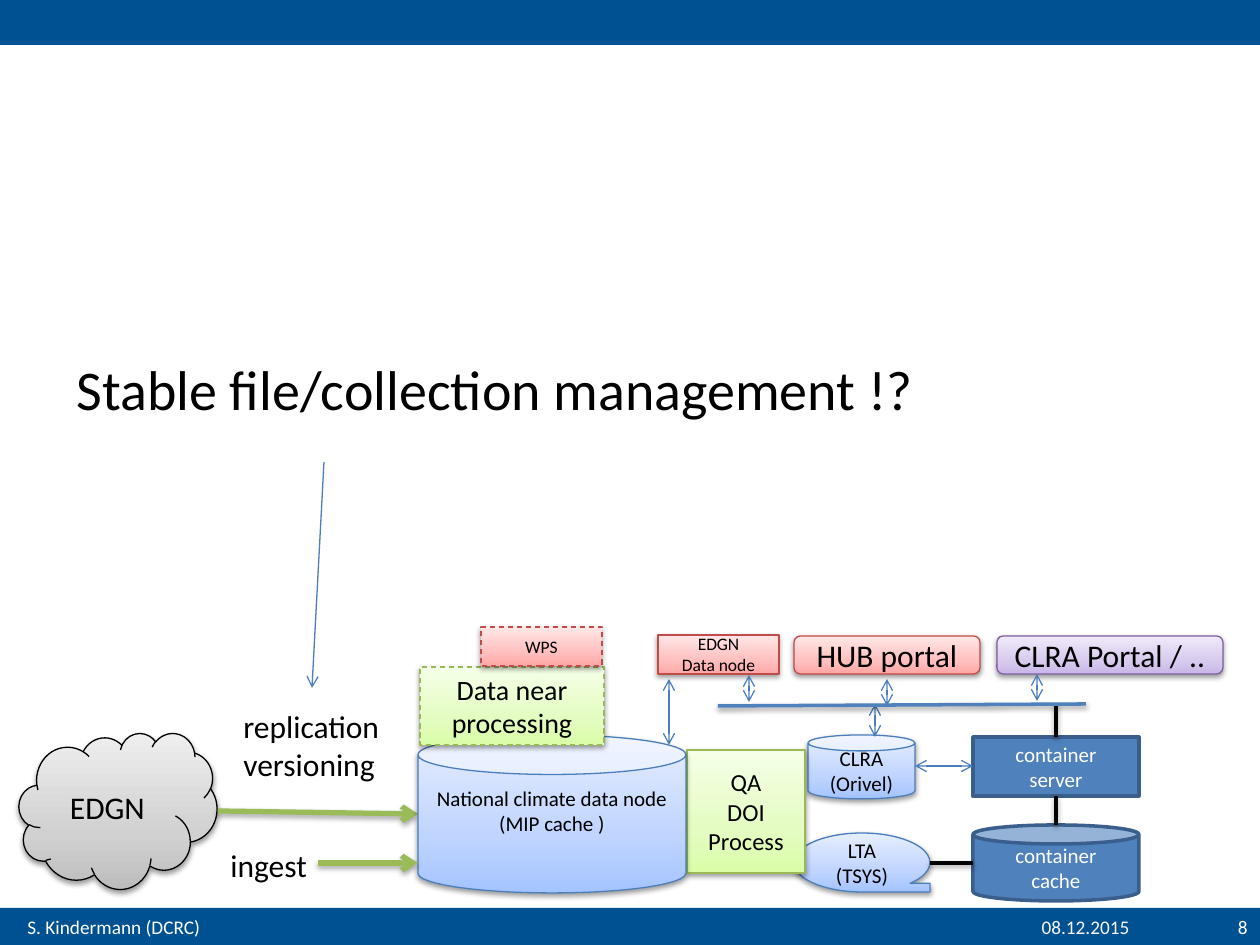
from lxml import etree
from pptx import Presentation, util as u
from pptx.dml.color import RGBColor
from pptx.enum import dml, shapes, text
from pptx.oxml import ns

PX = 914400 // 126
BLACK = RGBColor(0, 0, 0)
WHITE = RGBColor(255, 255, 255)
PALE = RGBColor(0xF6, 0xF6, 0xF6)
NAVY = RGBColor(0x00, 0x51, 0x91)
STEEL = RGBColor(0x4F, 0x81, 0xBD)
DEEP = RGBColor(0x3A, 0x5F, 0x8C)
BLUE = RGBColor(0x4B, 0x7E, 0xBC)
GREEN = RGBColor(0x9B, 0xBB, 0x59)
LIME = RGBColor(0x98, 0xB9, 0x55)
RED = RGBColor(0xBF, 0x4C, 0x48)
PLUM = RGBColor(0x7D, 0x60, 0xA0)

KIND = shapes.MSO_SHAPE
RECT, CAN, CLOUD = KIND.RECTANGLE, KIND.CAN, KIND.CLOUD
PILL = KIND.FLOWCHART_ALTERNATE_PROCESS
TAPE = KIND.FLOWCHART_SEQUENTIAL_ACCESS_STORAGE
LEFT, MID, RIGHT = text.PP_ALIGN.LEFT, text.PP_ALIGN.CENTER, text.PP_ALIGN.RIGHT

# Box styles: gradient stops at 0, 35 and 100 %, line colour
TINTS = {
    "blue": (("A4C4FF", "BFD4FF", "E6EEFF"), BLUE),
    "plum": (("C9B5E8", "D8CBEE", "F0EAF9"), PLUM),
    "gray": (("BDBDBD", "D1D1D1", "EEEEEE"), BLACK),
    "lime": (("DAFDA7", "E4FCC2", "F5FFE7"), LIME),
    "red": (("FFA6A5", "FFC0BF", "FFE7E7"), RED),
}
# Line styles: colour, width, arrow ends, shadow opacity
LINES = {
    "link": (BLACK, 2, (), 38),
    "bus": (STEEL, 2, (), 38),
    "flow": (GREEN, 3, ("tailEnd",), 35),
    "both": (BLUE, 0.75, ("headEnd", "tailEnd"), 0),
    "note": (BLUE, 0.75, ("tailEnd",), 0),
}
BARS = [(0, 0, 1260, 45), (0, 908, 1260, 37)]
# Text, place, size, colour, alignment
FOOT = [
    ("S. Kindermann (DCRC)", (15, 908, 328, 37), 11, WHITE, LEFT),
    ("8", (1155, 908, 105, 37), 11, WHITE, RIGHT),
    ("08.12.2015", (997, 908, 145, 37), 11, PALE, RIGHT),
]
# From back to front: boxes (shape, place, style, size, text, dash),
# lines (style, from, to) and labels (text, place)
PARTS = [
    (CAN, (973, 825, 166, 76), "solid", 12, "container\ncache", False),
    (RECT, (973, 737, 166, 59), "solid", 12, "container\nserver", False),
    (CAN, (808, 735, 107, 64), "blue", 12, "CLRA\n(Orivel)", False),
    (TAPE, (794, 833, 136, 59), "blue", 12, "LTA\n(TSYS)", False),
    ("link", (1056, 796), (1056, 825)),
    ("link", (1056, 704), (1056, 737)),
    ("link", (930, 863), (973, 863)),
    ("both", (875, 704), (875, 737)),
    ("both", (915, 766), (973, 766)),
    (PILL, (997, 636, 226, 38), "plum", 18, "CLRA Portal / ..", False),
    (CLOUD, (19, 733, 198, 156), "gray", 18, "EDGN ", False),
    (RECT, (687, 750, 118, 123), "lime", 14, "QA\nDOI\nProcess", False),
    ("flow", (218, 811), (418, 814)),
    ("replication\nversioning", (231, 701, 189, 89)),
    (CAN, (418, 735, 268, 158), "blue", 12, "National climate data node (MIP cache )", False),
    (RECT, (420, 667, 184, 78), "lime", 16, "Data near\nprocessing", True),
    (RECT, (658, 635, 121, 39), "red", 10, "EDGN\nData node", False),
    (PILL, (794, 636, 186, 38), "red", 18, "HUB portal", False),
    ("bus", (718, 706), (1086, 704)),
    ("both", (887, 679), (887, 706)),
    ("both", (1037, 674), (1037, 701)),
    ("both", (749, 675), (749, 702)),
    ("both", (669, 679), (669, 745)),
    (RECT, (481, 627, 121, 39), "red", 10, "WPS", True),
    ("flow", (318, 863), (418, 863)),
    ("ingest", (218, 840, 189, 50)),
    ("note", (324, 462), (312, 688)),
]


def emu(nums):
    return [n * PX for n in nums]


def node(up, tag, **atts):
    return etree.SubElement(up, ns.qn("a:" + tag), **atts)


def shade(item, alpha):
    fx = node(item.element.spPr, "effectLst")
    if alpha:
        out = node(fx, "outerShdw", blurRad=str(u.Pt(3.1)), dist=str(u.Pt(1.6)),
                   dir="5400000", algn="ctr", rotWithShape="0")
        node(node(out, "srgbClr", val="000000"), "alpha", val=str(alpha * 1000))


def blend(item, tones):
    item.fill.gradient()
    grad = item.element.spPr.find(ns.qn("a:gradFill"))
    for kid in list(grad):
        grad.remove(kid)
    stops = node(grad, "gsLst")
    for spot, tone in zip((0, 35, 100), tones):
        node(node(stops, "gs", pos=str(spot * 1000)), "srgbClr", val=tone)
    node(grad, "lin", ang="16200000", scaled="0")


def write(item, words, size, tone, align):
    frame = item.text_frame
    frame.word_wrap = True
    frame.text = words
    for para in frame.paragraphs:
        para.alignment = align
        for run in para.runs:
            run.font.name = "Calibri"
            run.font.size = u.Pt(size)
            run.font.color.rgb = tone
    return frame


def label(words, place, size=18, tone=BLACK, align=LEFT):
    return write(slide.shapes.add_textbox(*emu(place)), words, size, tone, align)


def box(kind, place, style, size, words, dash):
    item = slide.shapes.add_shape(kind, *emu(place))
    if style == "solid":
        item.shadow.inherit = False
        item.fill.solid()
        item.fill.fore_color.rgb = STEEL
        item.line.color.rgb, item.line.width = DEEP, u.Pt(2)
    else:
        tones, edge = TINTS[style]
        blend(item, tones)
        item.line.color.rgb, item.line.width = edge, u.Pt(0.75)
        if dash:
            item.line.dash_style = dml.MSO_LINE.DASH
        shade(item, 38)
    frame = write(item, words, size, WHITE if style == "solid" else BLACK, MID)
    frame.vertical_anchor = text.MSO_ANCHOR.MIDDLE
    return frame


def line(style, start, end):
    tone, width, ends, alpha = LINES[style]
    item = slide.shapes.add_connector(shapes.MSO_CONNECTOR.STRAIGHT, *emu(start + end))
    item.line.color.rgb, item.line.width = tone, u.Pt(width)
    for tip in ends:
        node(item.element.spPr.find(ns.qn("a:ln")), tip, type="arrow")
    shade(item, alpha)


deck = Presentation()
deck.slide_width, deck.slide_height = emu((1260, 945))
slide = deck.slides.add_slide(deck.slide_layouts[1])
title = slide.shapes.title.element
title.getparent().remove(title)

# Statement
body = slide.placeholders[1]
body.left, body.top, body.width, body.height = emu((64, 185, 1079, 407))
frame = write(body, "Stable file/collection management !?", 32, BLACK, LEFT)
frame.vertical_anchor = text.MSO_ANCHOR.MIDDLE
props = frame.paragraphs[0]._p.get_or_add_pPr()
props.set("marL", "0")
props.set("indent", "0")
node(props, "buNone")

# Bars and footer
for place in BARS:
    bar = slide.shapes.add_shape(RECT, *emu(place))
    bar.shadow.inherit = False
    bar.fill.solid()
    bar.fill.fore_color.rgb = NAVY
    bar.line.fill.background()
for entry in FOOT:
    label(*entry).vertical_anchor = text.MSO_ANCHOR.MIDDLE

# Diagram
for part in PARTS:
    if part[0] in LINES:
        line(*part)
    elif len(part) == 2:
        label(*part)
    else:
        frame = box(*part)
        if part[4].startswith("National"):
            frame.margin_bottom = 32 * PX

deck.save("out.pptx")
